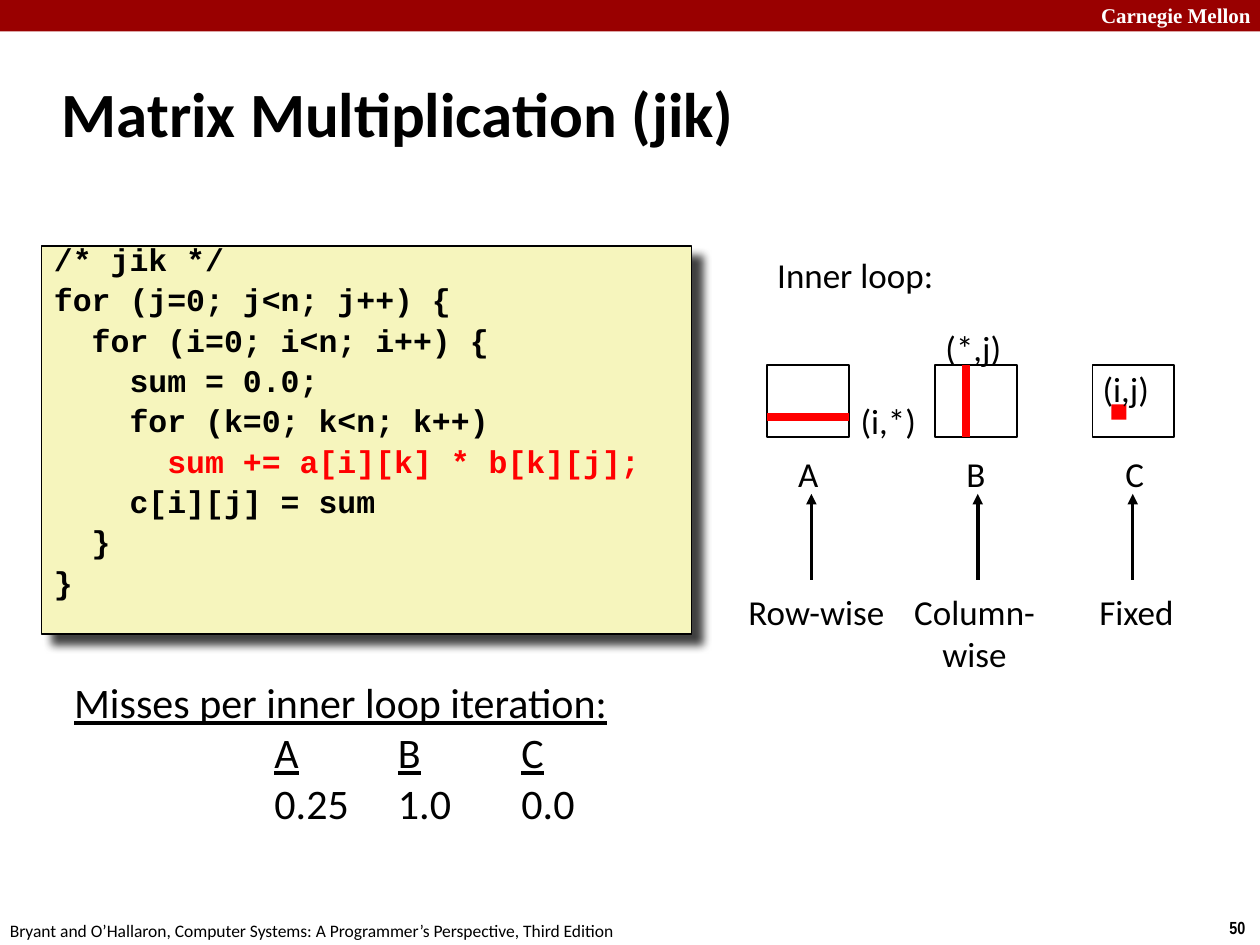
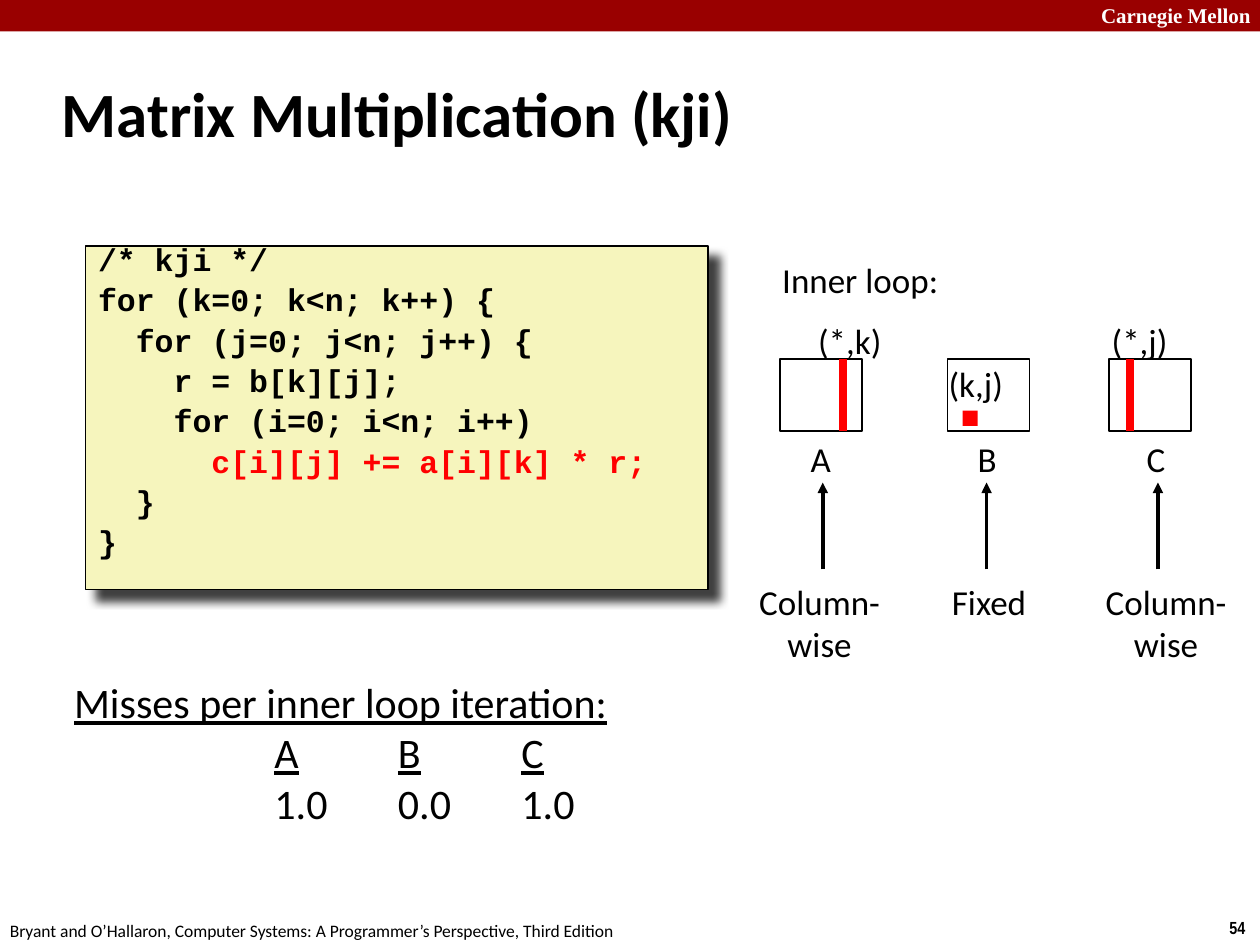
from pptx import Presentation
from pptx.dml.color import RGBColor
from pptx.enum.shapes import MSO_CONNECTOR, MSO_SHAPE
from pptx.enum.text import MSO_ANCHOR, PP_ALIGN
from pptx.oxml.ns import qn
from pptx.oxml.xmlchemy import OxmlElement
from pptx.util import Inches, Pt

LEFT, CENTER = PP_ALIGN.LEFT, PP_ALIGN.CENTER
TOP, MIDDLE = MSO_ANCHOR.TOP, MSO_ANCHOR.MIDDLE
RECTANGLE, STRAIGHT = MSO_SHAPE.RECTANGLE, MSO_CONNECTOR.STRAIGHT

COLORS = {"band": "990000", "ink": "000000", "paper": "FFFFFF",
          "code": "F6F5BD", "accent": "FF0000"}
BODY, CODE, HEADER, NUMBER = "Calibri", "Courier New", "Times New Roman", "Arial Narrow"

# The slide is a grid of 100 columns and 75 rows
COLUMNS, ROWS = 100, 75
WIDTH, HEIGHT = Inches(10), Inches(7.5)
MATRIX_WIDTH, MATRIX_HEIGHT, CELL = 6.5, 5.7, 1.2
CITATION = ("Bryant and O’Hallaron, Computer Systems: "
            "A Programmer’s Perspective, Third Edition")


def add_element(parent, tag, **attributes):
    element = OxmlElement(tag)
    for name, value in attributes.items():
        element.set(name, str(value))
    parent.append(element)
    return element


class Deck:
    """Holds the shared style and the current slide."""

    def __init__(self):
        self.presentation = Presentation()
        self.presentation.slide_width = WIDTH
        self.presentation.slide_height = HEIGHT
        self.slide = None

    def color(self, name):
        return RGBColor.from_string(COLORS[name])

    def place(self, column, row):
        return round(column * WIDTH / COLUMNS), round(row * HEIGHT / ROWS)

    def add_run(self, paragraph, text, size, font=BODY, color="ink",
                bold=False, underline=False):
        run = paragraph.add_run()
        run.text = text
        run.font.size, run.font.name = Pt(size), font
        run.font.bold, run.font.underline = bold, underline
        run.font.color.rgb = self.color(color)

    def add_slide(self, title, number):
        layout = self.presentation.slide_layouts[5]
        self.slide = self.presentation.slides.add_slide(layout)
        # Title
        shape = self.slide.shapes.title
        shape.left, shape.top = self.place(3.9, 4.8)
        shape.width, shape.height = self.place(83, 8.3)
        shape.text_frame.vertical_anchor = MIDDLE
        paragraph = shape.text_frame.paragraphs[0]
        paragraph.alignment = LEFT
        self.add_run(paragraph, title, 36, bold=True)
        # Band and footer
        self.rectangle(0, 0, COLUMNS, 2.5, "band")
        self.text(86.4, -0.3, 14.3, 3, ["Carnegie Mellon"], 12,
                  font=HEADER, color="paper", bold=True)
        self.text(96.6, 72.3, 3.4, 2.7, [str(number)], 10, font=NUMBER, bold=True)
        self.text(-0.2, 72.5, 50.8, 2.7, [CITATION], 10)

    def rectangle(self, column, row, columns, rows, fill, line=None):
        shape = self.slide.shapes.add_shape(
            RECTANGLE, *self.place(column, row), *self.place(columns, rows))
        shape.shadow.inherit = False
        shape.fill.solid()
        shape.fill.fore_color.rgb = self.color(fill)
        if line:
            shape.line.color.rgb = self.color(line)
            shape.line.width = Pt(1)
        else:
            shape.line.fill.background()
        return shape

    def text(self, column, row, columns, rows, lines, size, align=LEFT, **style):
        box = self.slide.shapes.add_textbox(
            *self.place(column, row), *self.place(columns, rows))
        frame = box.text_frame
        frame.word_wrap = False
        for index, line in enumerate(lines):
            paragraph = frame.add_paragraph() if index else frame.paragraphs[0]
            paragraph.alignment = align
            self.add_run(paragraph, line, size, **style)

    def label(self, center, row, text, columns=8):
        lines = text.split("\n")
        self.text(center - columns / 2, row, columns, 1 + 3.35 * len(lines),
                  lines, 20, align=CENTER)

    def line(self, start, end, color, weight, arrow=False):
        connector = self.slide.shapes.add_connector(
            STRAIGHT, *self.place(*start), *self.place(*end))
        connector.line.color.rgb = self.color(color)
        connector.line.width = Pt(weight)
        properties = connector.element.spPr
        if arrow:
            add_element(properties.find(qn("a:ln")), "a:tailEnd", type="triangle")
        add_element(properties, "a:effectLst")

    def code(self, column, columns, rows, lines, hot_line):
        shape = self.rectangle(column, 19.5, columns, rows, "code", "ink")
        effects = shape.element.spPr.find(qn("a:effectLst"))
        shadow = add_element(effects, "a:outerShdw", blurRad=Pt(5), dist=Pt(8.5),
                             dir=45 * 60000, algn="tl", rotWithShape=0)
        shade = add_element(shadow, "a:srgbClr", val=COLORS["ink"])
        add_element(shade, "a:alpha", val=75000)
        frame = shape.text_frame
        frame.word_wrap = True
        frame.vertical_anchor = TOP
        for index, line in enumerate(lines):
            paragraph = frame.add_paragraph() if index else frame.paragraphs[0]
            paragraph.alignment = LEFT
            paragraph.line_spacing = 0.65
            paragraph.space_before = Pt(9 if index else 0)
            self.add_run(paragraph, line, 18, CODE,
                         "accent" if index == hot_line else "ink", bold=True)

    def matrix(self, top, name, left, name_center, marker, index, access, arrow):
        self.rectangle(left, top, MATRIX_WIDTH, MATRIX_HEIGHT, "paper", "ink")
        # Part that the inner loop touches
        kind, column, row = marker
        if kind == "row":
            self.line((left, row), (left + MATRIX_WIDTH, row), "accent", 4.5)
        elif kind == "column":
            self.line((column, top), (column, top + MATRIX_HEIGHT), "accent", 4.5)
        else:
            self.rectangle(column, row, CELL, CELL, "accent")
        self.label(*index)
        # Name, arrow and access pattern
        name_row, arrow_top, arrow_bottom, access_row = arrow["rows"]
        self.label(name_center, name_row, name, 4)
        self.line((arrow["column"], arrow_bottom), (arrow["column"], arrow_top),
                  "ink", 2, arrow=True)
        self.label(access[0], access_row, access[1], 13)

    def misses(self, values):
        box = self.slide.shapes.add_textbox(*self.place(4.9, 53.2), *self.place(56, 13.4))
        frame = box.text_frame
        frame.word_wrap = True
        self.add_run(frame.paragraphs[0], "Misses per inner loop iteration:", 24,
                     underline=True)
        for cells, underline in (("ABC", True), (values, False)):
            paragraph = frame.add_paragraph()
            tabs = add_element(paragraph._p.get_or_add_pPr(), "a:tabLst")
            for stop in range(3):
                add_element(tabs, "a:tab", pos=Inches(1.59 + 0.98 * stop), algn="l")
            for cell in cells:
                self.add_run(paragraph, "\t", 24)
                self.add_run(paragraph, cell, 24, underline=underline)


# Each matrix: left, name center, marker, index label, access pattern, arrow column
SLIDES = [
    {"order": "jik", "number": 50, "box": (3.3, 51.6, 30.8), "hot": 5,
     "code": ["/* jik */",
              "for (j=0; j<n; j++) {",
              "  for (i=0; i<n; i++) {",
              "    sum = 0.0;",
              "    for (k=0; k<n; k++)",
              "      sum += a[i][k] * b[k][j];",
              "    c[i][j] = sum",
              "  }",
              "}"],
     "heading": (60.7, 19.6), "top": 29, "rows": (35.4, 39.2, 46, 46.4),
     "matrices": [
         (60.9, 64.15, ("row", None, 33.1), (70.5, 31.2, "(i,*)"),
          (64.8, "Row-wise"), 64.4),
         (74.2, 77.45, ("column", 76.7, None), (77.25, 25.4, "(*,j)"),
          (77.35, "Column-\nwise"), 77.6),
         (86.7, 90.05, ("cell", 88.2, 32.1), (89.35, 28.7, "(i,j)"),
          (90.2, "Fixed"), 89.9)],
     "misses": ("0.25", "1.0", "0.0")},
    {"order": "kji", "number": 54, "box": (6.8, 49.4, 27.3), "hot": 5,
     "code": ["/* kji */",
              "for (k=0; k<n; k++) {",
              "  for (j=0; j<n; j++) {",
              "    r = b[k][j];",
              "    for (i=0; i<n; i++)",
              "      c[i][j] += a[i][k] * r;",
              "  }",
              "}"],
     "heading": (61.1, 20), "top": 28.5, "rows": (34.2, 38.3, 45.2, 45.6),
     "matrices": [
         (61.9, 65.15, ("column", 66.9, None), (67.45, 24.9, "(*,k)"),
          (65.05, "Column-\nwise"), 65.3),
         (75.2, 78.35, ("cell", 76.4, 32.6), (77.45, 28.3, "(k,j)"),
          (78.5, "Fixed"), 78.3),
         (88, 91.75, ("column", 89.7, None), (90.45, 24.9, "(*,j)"),
          (92.55, "Column-\nwise"), 91.9)],
     "misses": ("1.0", "0.0", "1.0")},
]


def main():
    deck = Deck()
    for content in SLIDES:
        deck.add_slide(f"Matrix Multiplication ({content['order']})", content["number"])
        deck.code(*content["box"], content["code"], content["hot"])
        deck.text(*content["heading"], 14.5, 4.3, ["Inner loop:"], 20)
        for name, matrix in zip("ABC", content["matrices"]):
            left, name_center, marker, index, access, arrow_column = matrix
            deck.matrix(content["top"], name, left, name_center, marker, index, access,
                        {"column": arrow_column, "rows": content["rows"]})
        deck.misses(content["misses"])
    deck.presentation.save("out.pptx")


if __name__ == "__main__":
    main()
